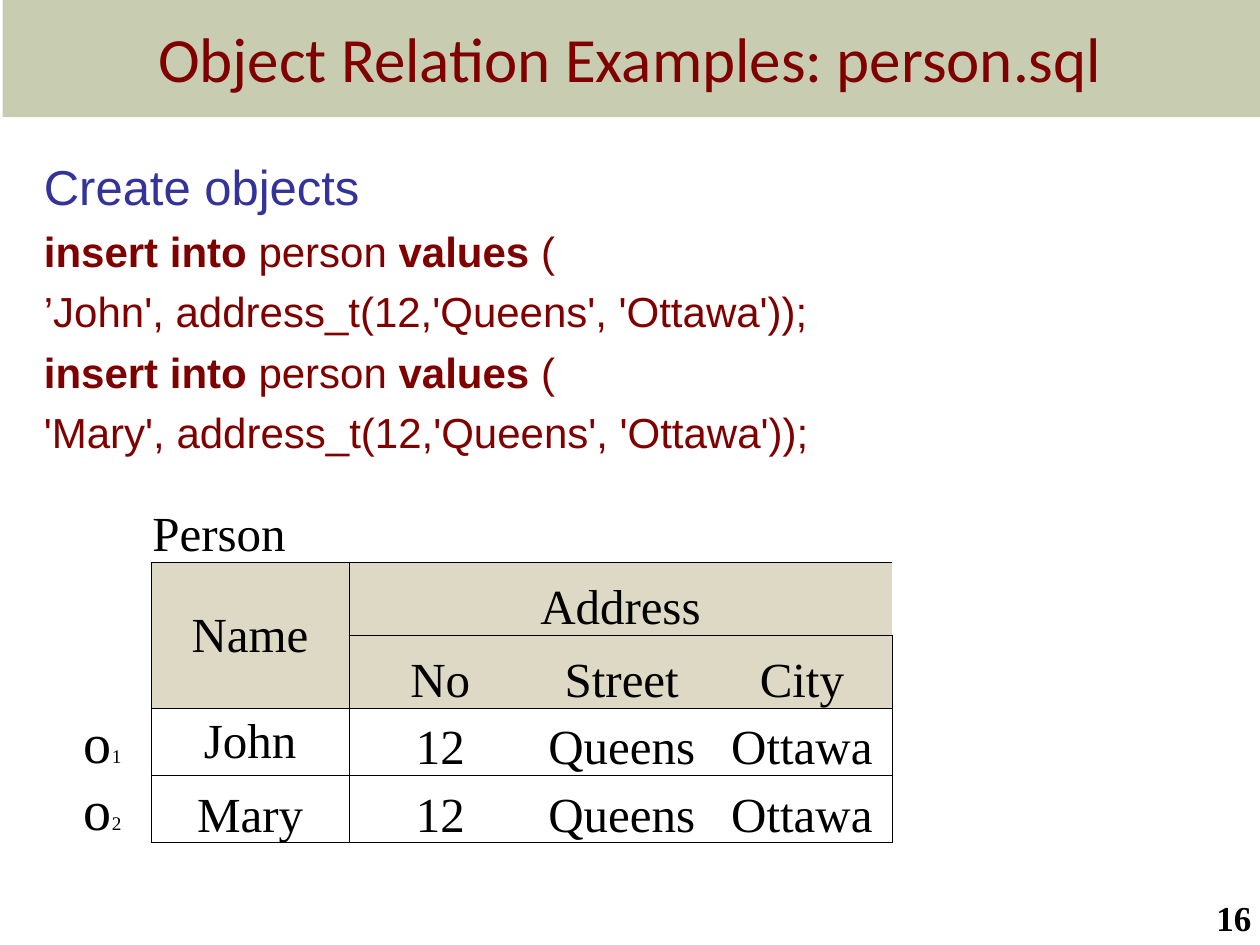
from lxml import etree
from pptx import Presentation
from pptx.dml.color import RGBColor
from pptx.enum.shapes import MSO_SHAPE
from pptx.enum.text import MSO_ANCHOR, PP_ALIGN
from pptx.oxml.ns import qn
from pptx.util import Inches, Pt

RECTANGLE = MSO_SHAPE.RECTANGLE
MIDDLE, BOTTOM = MSO_ANCHOR.MIDDLE, MSO_ANCHOR.BOTTOM
LEFT, CENTER, RIGHT = PP_ALIGN.LEFT, PP_ALIGN.CENTER, PP_ALIGN.RIGHT

OLIVE = RGBColor(0x67, 0x72, 0x28)
MAROON = RGBColor(0x80, 0x00, 0x00)
INDIGO = RGBColor(0x33, 0x33, 0x99)
BEIGE = RGBColor(0xDD, 0xD9, 0xC4)
WHITE = RGBColor(0xFF, 0xFF, 0xFF)
BLACK = RGBColor(0x00, 0x00, 0x00)
SERIF = "Times New Roman"

INSERT = [("insert into", True), (" person ", False), ("values", True), (" (", False)]
STATEMENTS = [
    INSERT,
    [("’John', address_t(12,'Queens', 'Ottawa'));", False)],
    INSERT,
    [("'Mary', address_t(12,'Queens', 'Ottawa'));", False)],
]

COLUMN_WIDTHS = [0.77, 1.57, 1.45, 1.43, 1.43]
ROW_HEIGHTS = [0.57, 0.58, 0.58, 0.51, 0.51]
TABLE_TEXT = [
    ["", "Person", "", "", ""],
    ["", "Name", "Address", "", ""],
    ["", "", "No", "Street", "City"],
    ["o1", "John", "12", "Queens", "Ottawa"],
    ["o2", "Mary", "12", "Queens", "Ottawa"],
]
# Outlined blocks of cells: first row, first column, last row, last column
OUTLINES = [
    (1, 1, 2, 1), (1, 2, 1, 4), (2, 2, 2, 4),
    (3, 1, 3, 1), (3, 2, 3, 4), (4, 1, 4, 1), (4, 2, 4, 4),
]


def add_run(paragraph, text, size, font_name, color, bold=False):
    run = paragraph.add_run()
    run.text = text
    run.font.size = Pt(size)
    run.font.name = font_name
    run.font.color.rgb = color
    run.font.bold = bold


def add_title(slide, left, top, width, height):
    # Translucent band
    band = slide.shapes.add_shape(
        RECTANGLE, Inches(0.02), top, width - Inches(0.02), Inches(0.93))
    band.shadow.inherit = False
    band.line.fill.background()
    band.fill.solid()
    band.fill.fore_color.rgb = OLIVE
    color = band.fill._xPr.find(qn("a:solidFill"))[0]
    etree.SubElement(color, qn("a:alpha"), val="36000")

    # Title in front of the band
    title = slide.shapes.title
    band._element.addnext(title._element)
    title.left, title.top, title.width, title.height = left, top, width, height
    title.text_frame.vertical_anchor = MIDDLE
    paragraph = title.text_frame.paragraphs[0]
    paragraph.alignment = CENTER
    add_run(paragraph, "Object Relation Examples: person.sql", 36, "Calibri", MAROON)


def add_statements(slide, left, top, width, height):
    frame = slide.shapes.add_textbox(left, top, width, height).text_frame
    frame.word_wrap = True
    frame.margin_top = Inches(0.09)
    add_run(frame.paragraphs[0], "Create objects", 28, "Arial", INDIGO)
    for statement in STATEMENTS:
        paragraph = frame.add_paragraph()
        paragraph.space_before = Pt(5.75)
        for text, bold in statement:
            add_run(paragraph, text, 24, "Arial", MAROON, bold)


def outline_edges():
    edges = set()
    for first_row, first_column, last_row, last_column in OUTLINES:
        for column in range(first_column, last_column + 1):
            edges |= {("across", first_row, column), ("across", last_row + 1, column)}
        for row in range(first_row, last_row + 1):
            edges |= {("down", row, first_column), ("down", row, last_column + 1)}
    return edges


def set_borders(cell, row, column, edges):
    sides = {
        "a:lnL": ("down", row, column),
        "a:lnR": ("down", row, column + 1),
        "a:lnT": ("across", row, column),
        "a:lnB": ("across", row + 1, column),
    }
    properties = cell._tc.get_or_add_tcPr()
    for tag, edge in sides.items():
        line = etree.SubElement(properties, qn(tag), w=str(Pt(0.5)))
        if edge in edges:
            fill = etree.SubElement(line, qn("a:solidFill"))
            etree.SubElement(fill, qn("a:srgbClr"), val=str(BLACK))
        else:
            etree.SubElement(line, qn("a:noFill"))


def fill_cell(cell, row, column, text):
    cell.fill.solid()
    cell.fill.fore_color.rgb = BEIGE if row in (1, 2) and column > 0 else WHITE
    cell.margin_left = cell.margin_right = Inches(0.01)
    cell.margin_top = Inches(0.01) if column else 0
    cell.margin_bottom = 0
    cell.vertical_anchor = MIDDLE if text in ("Name", "John") else BOTTOM
    if not text:
        return
    paragraph = cell.text_frame.paragraphs[0]
    paragraph.alignment = CENTER if row else LEFT
    if column == 0:
        # Object label with a small index
        add_run(paragraph, text[0], 32, SERIF, BLACK)
        add_run(paragraph, text[1], 11, SERIF, BLACK)
    else:
        add_run(paragraph, text, 28, SERIF, BLACK)


def add_person_table(slide, left, top):
    table = slide.shapes.add_table(
        len(ROW_HEIGHTS), len(COLUMN_WIDTHS), left, top,
        Inches(sum(COLUMN_WIDTHS)), Inches(sum(ROW_HEIGHTS))).table
    table.first_row = table.horz_banding = False
    for column, width in zip(table.columns, COLUMN_WIDTHS):
        column.width = Inches(width)
    for row, height in zip(table.rows, ROW_HEIGHTS):
        row.height = Inches(height)

    edges = outline_edges()
    for row, texts in enumerate(TABLE_TEXT):
        for column, text in enumerate(texts):
            cell = table.cell(row, column)
            set_borders(cell, row, column, edges)
            fill_cell(cell, row, column, text)

    # Name spans two rows, Address three columns
    table.cell(1, 1).merge(table.cell(2, 1))
    table.cell(1, 2).merge(table.cell(1, 4))


def add_page_number(slide, left, top, width, height):
    frame = slide.shapes.add_textbox(left, top, width, height).text_frame
    frame.word_wrap = True
    frame.vertical_anchor = BOTTOM
    paragraph = frame.paragraphs[0]
    paragraph.alignment = RIGHT
    add_run(paragraph, "16", 20, SERIF, BLACK, True)


def main():
    presentation = Presentation()
    presentation.slide_width = Inches(10)
    presentation.slide_height = Inches(7.5)
    slide = presentation.slides.add_slide(presentation.slide_layouts[5])

    add_title(slide, 0, 0, Inches(10), Inches(0.91))
    add_statements(slide, Inches(0.25), Inches(1.15), Inches(9.75), Inches(5.71))
    add_person_table(slide, Inches(0.43), Inches(3.89))
    add_page_number(slide, Inches(7.95), Inches(7), Inches(2.08), Inches(0.5))

    presentation.save("out.pptx")


if __name__ == "__main__":
    main()
